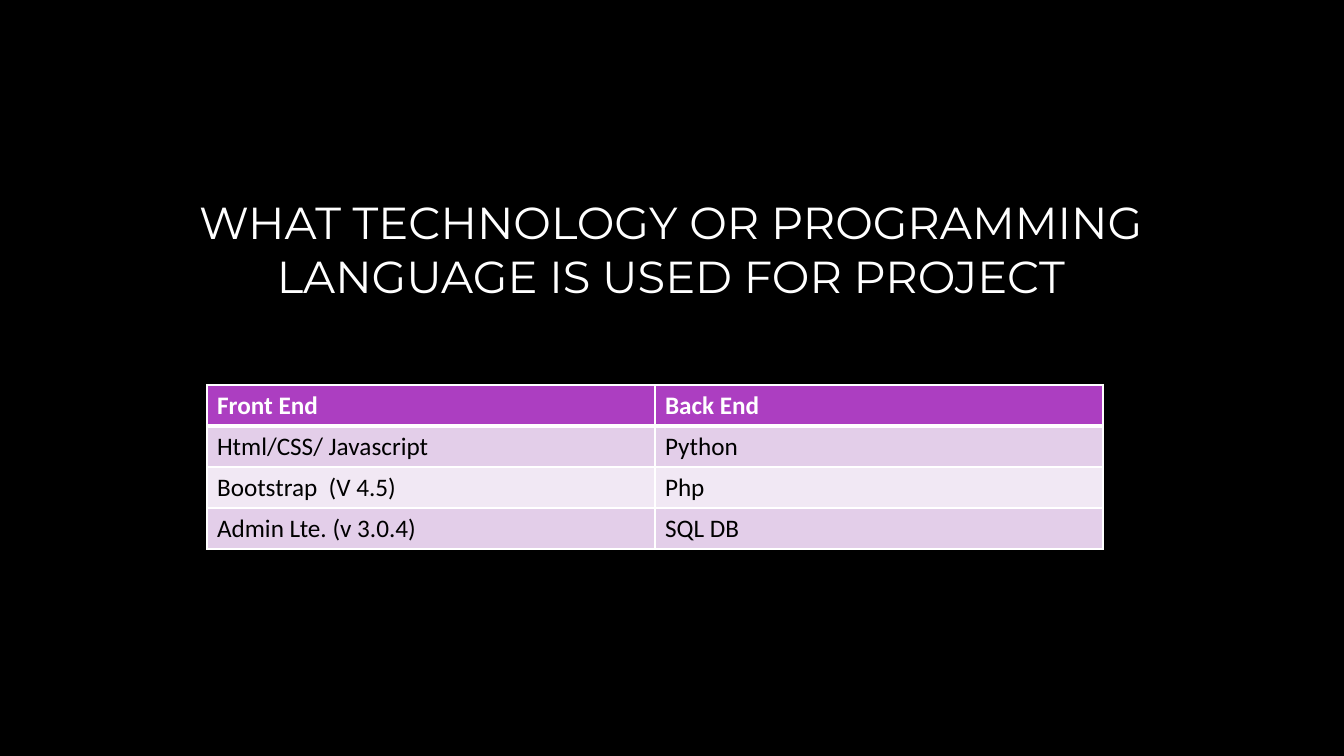
from lxml import etree
from pptx import Presentation
from pptx.dml.color import RGBColor
from pptx.enum.text import MSO_ANCHOR, PP_ALIGN
from pptx.oxml.ns import qn
from pptx.util import Pt

BOTTOM, CENTER = MSO_ANCHOR.BOTTOM, PP_ALIGN.CENTER

# Content
TITLE = "WHAT TECHNOLOGY OR PROGRAMMING LANGUAGE IS USED FOR PROJECT"
ROWS = [
    ("Front End", "Back End"),
    ("Html/CSS/ Javascript", "Python"),
    ("Bootstrap  (V 4.5)", "Php"),
    ("Admin Lte. (v 3.0.4)", "SQL DB"),
]
COLORS = {
    "background": "000000",
    "white": "FFFFFF",
    "text": "000000",
    "header": "AC3EC1",
    "band_dark": "E3CEE9",
    "band_light": "F1E8F4",
}

# Layout in px
SLIDE_W, SLIDE_H = 1344, 756
TITLE_BOX = (118, 119, 1106, 186)
TABLE_X, TABLE_Y, COL_W, ROW_H = 207, 385, 448, 41


def px(n):
    return round(n * 914400 / 100.8)


def rgb(name):
    return RGBColor.from_string(COLORS[name])


def style(p, font, size, color, bold=False):
    for r in p.runs:
        r.font.name, r.font.size, r.font.bold = font, Pt(size), bold
        r.font.color.rgb = rgb(color)


def add_borders(cell, widths):
    # Borders come before the fill in the cell properties
    tc_pr = cell._tc.get_or_add_tcPr()
    for i, (side, width) in enumerate(widths.items()):
        ln = etree.Element(qn(f"a:ln{side}"), w=str(Pt(width)))
        fill = etree.SubElement(ln, qn("a:solidFill"))
        etree.SubElement(fill, qn("a:srgbClr"), val=COLORS["white"])
        tc_pr.insert(i, ln)


prs = Presentation()
prs.slide_width, prs.slide_height = px(SLIDE_W), px(SLIDE_H)
s = prs.slides.add_slide(prs.slide_layouts[6])
s.background.fill.solid()
s.background.fill.fore_color.rgb = rgb("background")

# Title
tf = s.shapes.add_textbox(*map(px, TITLE_BOX)).text_frame
tf.word_wrap = True
tf.vertical_anchor = BOTTOM
tf.margin_bottom = px(3)
tf.text = TITLE
p = tf.paragraphs[0]
p.alignment = CENTER
style(p, "Montserrat", 32, "white")

# Technology table
n_rows, n_cols = len(ROWS), len(ROWS[0])
table = s.shapes.add_table(n_rows, n_cols, px(TABLE_X), px(TABLE_Y),
                           px(n_cols * COL_W), px(n_rows * ROW_H)).table
for row, values in enumerate(ROWS):
    header = row == 0
    band = "header" if header else "band_dark" if row % 2 else "band_light"
    widths = {"L": 1, "R": 1, "T": 3 if row == 1 else 1, "B": 3 if header else 1}
    for col, value in enumerate(values):
        cell = table.cell(row, col)
        cell.text = value
        style(cell.text_frame.paragraphs[0], "Calibri", 18,
              "white" if header else "text", header)
        cell.fill.solid()
        cell.fill.fore_color.rgb = rgb(band)
        add_borders(cell, widths)

prs.save("out.pptx")
